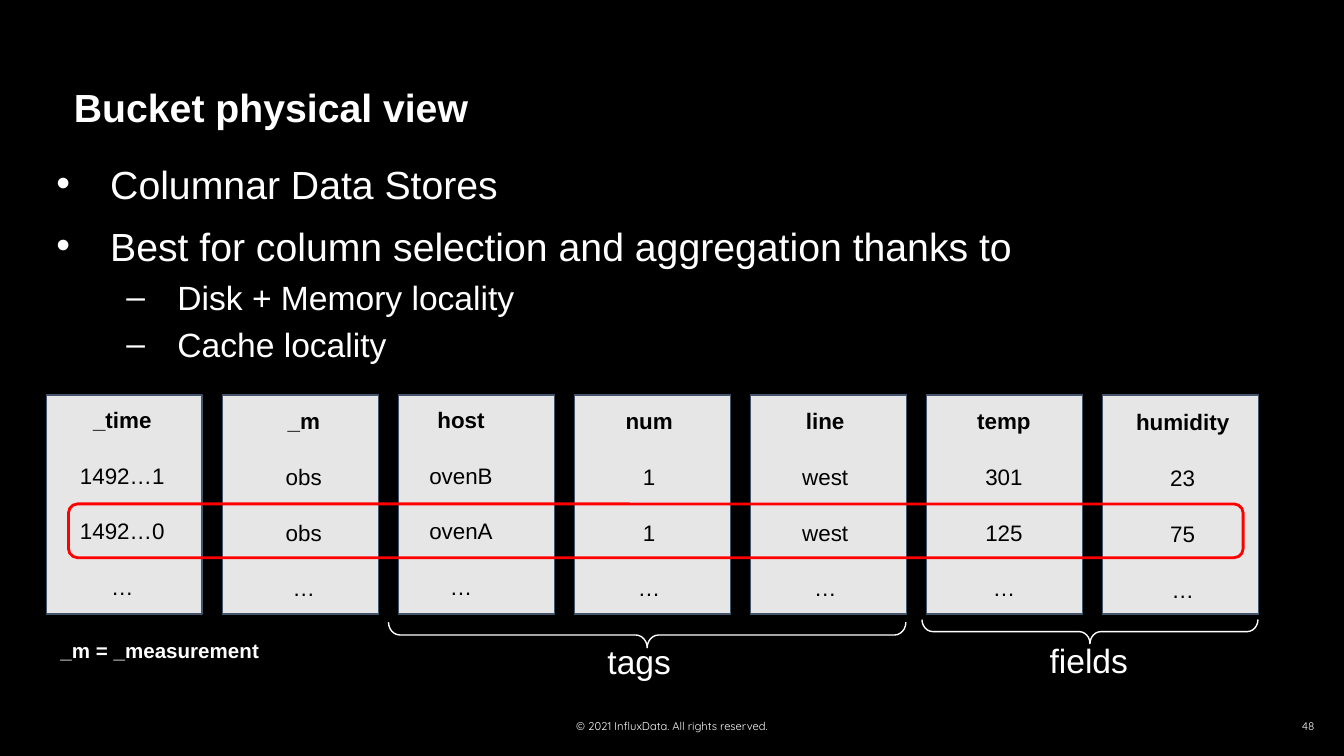
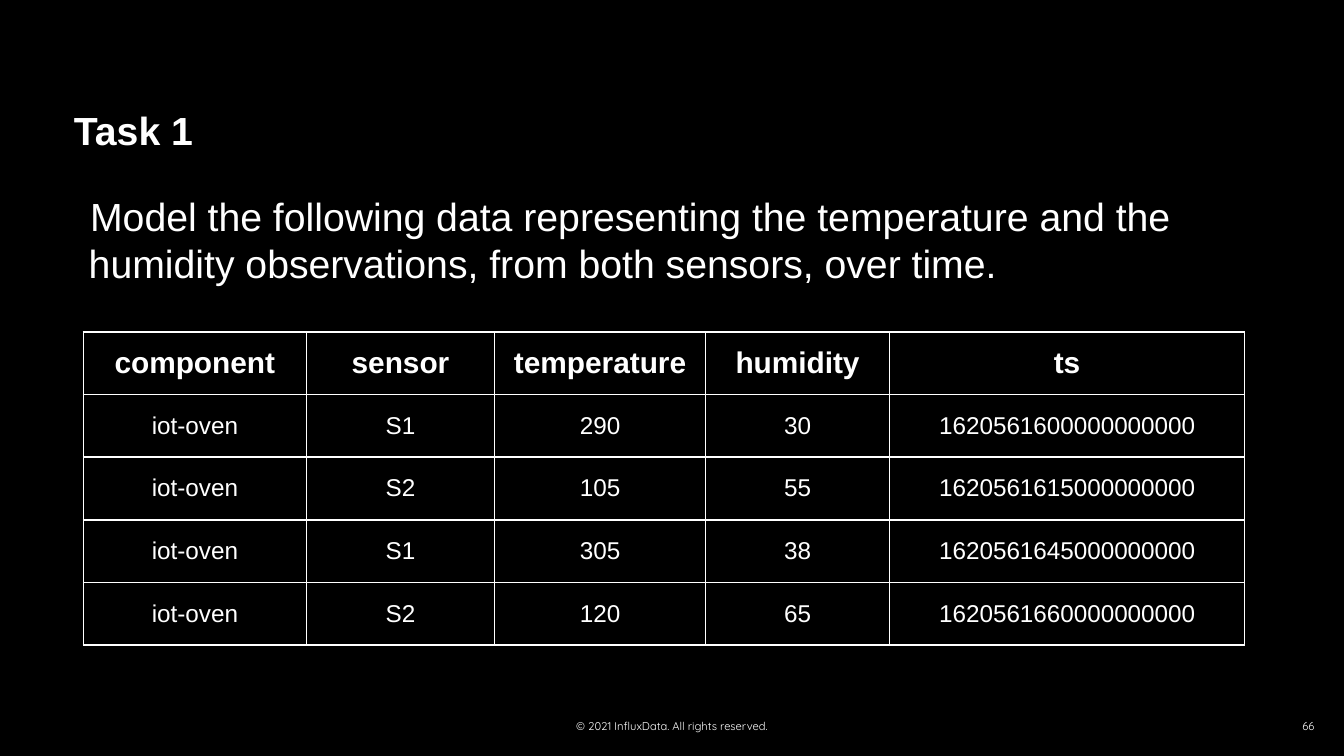
from dataclasses import dataclass

from lxml.etree import SubElement
from pptx import Presentation
from pptx.dml.color import RGBColor
from pptx.enum.shapes import MSO_SHAPE
from pptx.enum.text import MSO_ANCHOR, MSO_AUTO_SIZE, PP_ALIGN
from pptx.oxml.ns import qn
from pptx.util import Inches, Pt


@dataclass(frozen=True)
class Theme:
    """Colours, fonts and type sizes."""
    back: str = "000000"
    ink: str = "FFFFFF"
    dark: str = "000000"
    card: str = "E7E6E6"
    edge: str = "44546A"
    mark: str = "FF0000"
    face: str = "Arial"
    small_face: str = "Quicksand"
    big: int = 21
    mid: int = 18
    head: int = 16
    cell: int = 13
    label: int = 12
    note: int = 11
    tiny: int = 6
    thin: float = 0.75


class Deck:
    """Draws on the current slide, on a grid of 100 columns and 56.25 rows."""

    cols, rows = 100, 56.25

    def __init__(self, theme):
        """Open a blank deck in 16 by 9."""
        self.theme = theme
        self.file = Presentation()
        self.file.slide_width = Inches(10)
        self.file.slide_height = Inches(10) * 9 // 16
        self.slide = None

    def grid(self, *spans):
        """Turn across and down spans, in turn, into lengths."""
        steps = (self.file.slide_width / self.cols, self.file.slide_height / self.rows)
        return [round(span * steps[i % 2]) for i, span in enumerate(spans)]

    def page(self, title, top, number):
        """Start a slide with its title and footer."""
        look = self.theme
        self.slide = self.file.slides.add_slide(self.file.slide_layouts[6])
        fill = self.slide.background.fill
        fill.solid()
        fill.fore_color.rgb = RGBColor.from_string(look.back)
        self.text((42.8, 53.5, 14.4, 1.4), "© 2021 InfluxData. All rights reserved.",
                  look.tiny, pad=0, align=PP_ALIGN.CENTER, face=look.small_face, wrap=False)
        self.text((96.3, 53, 2, 2), str(number), look.tiny, pad=0.05, align=PP_ALIGN.RIGHT,
                  face=look.small_face, wrap=False, middle=True)
        frame = self.text((5.1, top, 89.8, 6.4), title, look.big, bold=True, middle=True)
        frame.paragraphs[0].line_spacing = 0.9

    def style(self, para, text, size, bold=False, color=None, align=None, face=None):
        """Write one paragraph in one font."""
        para.text = text
        para.alignment = align
        font = para.font
        font.name = face or self.theme.face
        font.size, font.bold = Pt(size), bold
        font.color.rgb = RGBColor.from_string(color or self.theme.ink)

    def frame(self, box, pad=0.04, wrap=True, middle=False):
        """Add an empty text box."""
        frame = self.slide.shapes.add_textbox(*self.grid(*box)).text_frame
        frame.word_wrap = wrap
        frame.auto_size = MSO_AUTO_SIZE.NONE
        frame.vertical_anchor = MSO_ANCHOR.MIDDLE if middle else MSO_ANCHOR.TOP
        frame.margin_left = frame.margin_right = Inches(pad)
        frame.margin_top = frame.margin_bottom = Inches(pad)
        return frame

    def text(self, box, text, size, pad=0.04, wrap=True, middle=False, **font):
        """Add a text box of one paragraph."""
        frame = self.frame(box, pad, wrap, middle)
        self.style(frame.paragraphs[0], text, size, **font)
        return frame

    def list(self, box, items):
        """Add a list of (level, text) items."""
        look = self.theme
        kinds = (("•", 0.5, -0.4, 8, look.big), ("–", 1, -0.38, 4, look.mid))
        frame = self.frame(box)
        for i, (level, text) in enumerate(items):
            sign, left, hang, gap, size = kinds[level]
            para = frame.paragraphs[0] if i == 0 else frame.add_paragraph()
            para.level = level
            if i:
                para.space_before = Pt(gap)
            self.dent(para, left, hang)
            props = para._p.get_or_add_pPr()
            tint = SubElement(props, qn("a:buClr"))
            SubElement(tint, qn("a:srgbClr"), val=look.ink)
            SubElement(props, qn("a:buFont"), typeface=look.face)
            SubElement(props, qn("a:buChar"), char=sign)
            self.style(para, text, size)

    def dent(self, para, left, hang):
        """Set the indents of a paragraph, in inches."""
        props = para._p.get_or_add_pPr()
        props.set("marL", str(Inches(left)))
        props.set("indent", str(Inches(hang)))

    def shape(self, kind, box, line, width, fill=None, turn=0, bends=()):
        """Add a preset shape."""
        shape = self.slide.shapes.add_shape(kind, *self.grid(*box))
        shape.shadow.inherit = False
        shape.rotation = turn
        for i, bend in enumerate(bends):
            shape.adjustments[i] = bend
        if fill:
            shape.fill.solid()
            shape.fill.fore_color.rgb = RGBColor.from_string(fill)
        else:
            shape.fill.background()
        shape.line.color.rgb = RGBColor.from_string(line)
        shape.line.width = Pt(width)

    def brace(self, left, top, width, height, label, box):
        """Add a brace that points down to its label."""
        look = self.theme
        upright = (left + (width - height) / 2, top + (height - width) / 2, height, width)
        self.shape(MSO_SHAPE.RIGHT_BRACE, upright, look.ink, look.thin, turn=90,
                   bends=(0.45, 0.5))
        self.text(box, label, look.mid, pad=0.05)

    def column(self, left, cells, shift, top):
        """Add a card with a bold head over its values."""
        look = self.theme
        self.shape(MSO_SHAPE.RECTANGLE, (left, 29.4, 11.6, 16.3), look.edge, look.thin, look.card)
        for row, cell in enumerate(cells):
            self.text((left + shift, top + 4.15 * row, 9.1, 3.9), cell, look.label, pad=0.1,
                      bold=row == 0, color=look.dark, align=PP_ALIGN.CENTER)

    def table(self, left, top, widths, height, lines):
        """Add a ruled table with a bold head row."""
        look = self.theme
        box = self.grid(left, top, sum(widths), height * len(lines))
        table = self.slide.shapes.add_table(len(lines), len(widths), *box).table
        table.first_row = table.horz_banding = False
        for column, width in zip(table.columns, widths):
            column.width = self.grid(width)[0]
        for r, line in enumerate(lines):
            table.rows[r].height = self.grid(0, height)[1]
            for c, text in enumerate(line):
                cell = table.cell(r, c)
                cell.margin_left = cell.margin_right = Inches(0.05)
                cell.margin_top = cell.margin_bottom = Inches(0.05)
                cell.vertical_anchor = MSO_ANCHOR.MIDDLE
                self.rule(cell)
                cell.fill.background()
                self.style(cell.text_frame.paragraphs[0], text, look.cell if r else look.head,
                           bold=r == 0, align=PP_ALIGN.CENTER)

    def rule(self, cell):
        """Draw the four borders of a cell."""
        props = cell._tc.get_or_add_tcPr()
        for side in ("lnL", "lnR", "lnT", "lnB"):
            line = SubElement(props, qn(f"a:{side}"), w=str(Pt(1)))
            fill = SubElement(line, qn("a:solidFill"))
            SubElement(fill, qn("a:srgbClr"), val=self.theme.ink)


def bucket(deck):
    """Build the slide on the bucket's columns."""
    look = deck.theme
    deck.page("Bucket physical view", 5, 48)
    deck.list((2.8, 11.5, 89.8, 37.1), (
        (0, "Columnar Data Stores"),
        (0, "Best for column selection and aggregation thanks to"),
        (1, "Disk + Memory locality"),
        (1, "Cache locality"),
    ))
    stores = (
        (("_time", "1492…1", "1492…0", "…"), 1.1, 29.2),
        (("_m", "obs", "obs", "…"), 1.5, 29.3),
        (("host", "ovenB", "ovenA", "…"), 0.1, 29.2),
        (("num", "1", "1", "…"), 1, 29.3),
        (("line", "west", "west", "…"), 1, 29.3),
        (("temp", "301", "125", "…"), 1.2, 29.3),
        (("humidity", "23", "75", "…"), 1.4, 29.4),
    )
    for i, (cells, shift, top) in enumerate(stores):
        deck.column(3.45 + 13.1 * i, cells, shift, top)
    deck.shape(MSO_SHAPE.ROUNDED_RECTANGLE, (5.1, 37.5, 87.4, 4), look.mark, 1.5, bends=(0.17,))
    deck.brace(28.9, 46.3, 38.5, 1.9, "tags", (44.7, 47.2, 5.9, 3.8))
    deck.brace(68.6, 46.1, 25, 1.8, "fields", (77.6, 47.1, 7, 3.8))
    deck.text((4, 47, 15.9, 2.6), "_m = _measurement", look.note, pad=0.05, bold=True)


def task(deck):
    """Build the slide with the modelling task."""
    deck.page("Task 1", 6.7, 66)
    frame = deck.text((6.2, 13.9, 89.8, 37.1),
                      "Model the following data representing the temperature and the "
                      "humidity observations, from both sensors, over time.", deck.theme.big)
    deck.dent(frame.paragraphs[0], 0, 0.01)
    deck.table(6.2, 24.7, (16.6, 14, 15.7, 13.7, 26.4), 4.66, (
        ("component", "sensor", "temperature", "humidity", "ts"),
        ("iot-oven", "S1", "290", "30", "1620561600000000000"),
        ("iot-oven", "S2", "105", "55", "1620561615000000000"),
        ("iot-oven", "S1", "305", "38", "1620561645000000000"),
        ("iot-oven", "S2", "120", "65", "1620561660000000000"),
    ))


def main():
    """Build and save the deck."""
    deck = Deck(Theme())
    bucket(deck)
    task(deck)
    deck.file.save("out.pptx")


if __name__ == "__main__":
    main()
